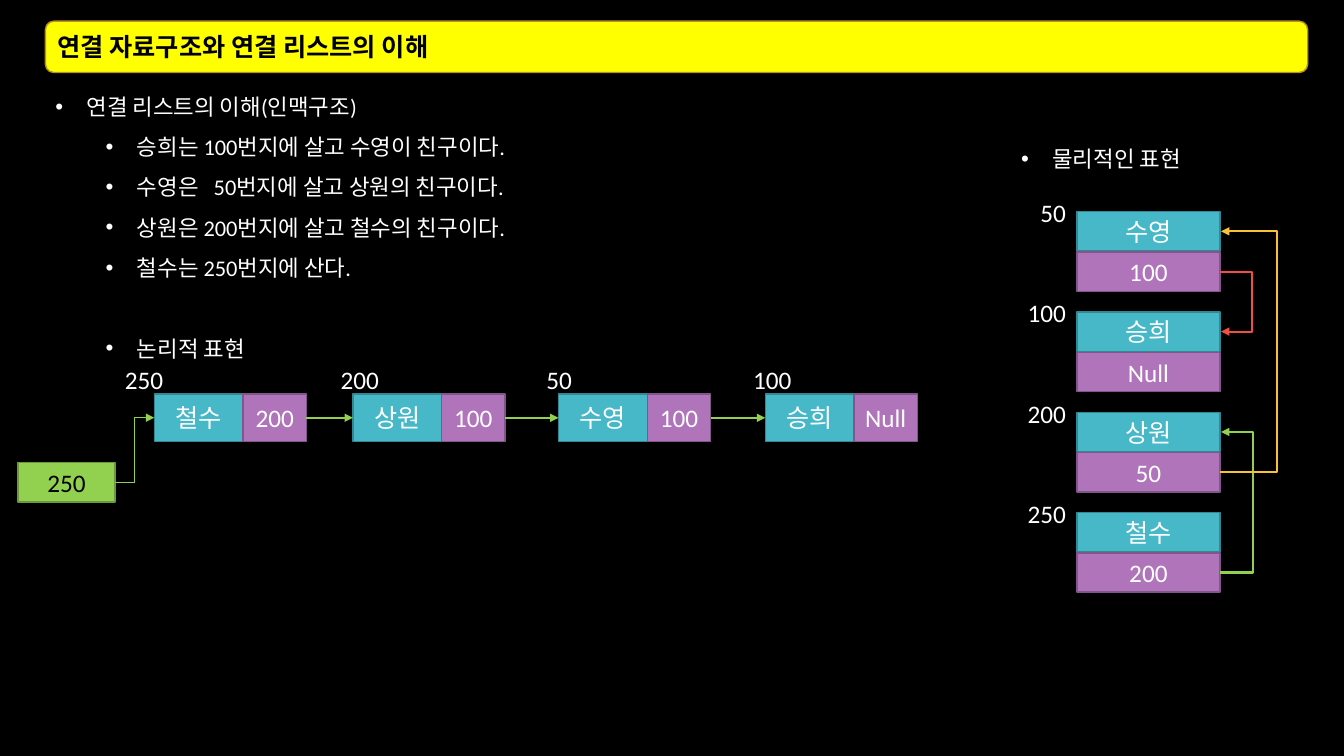
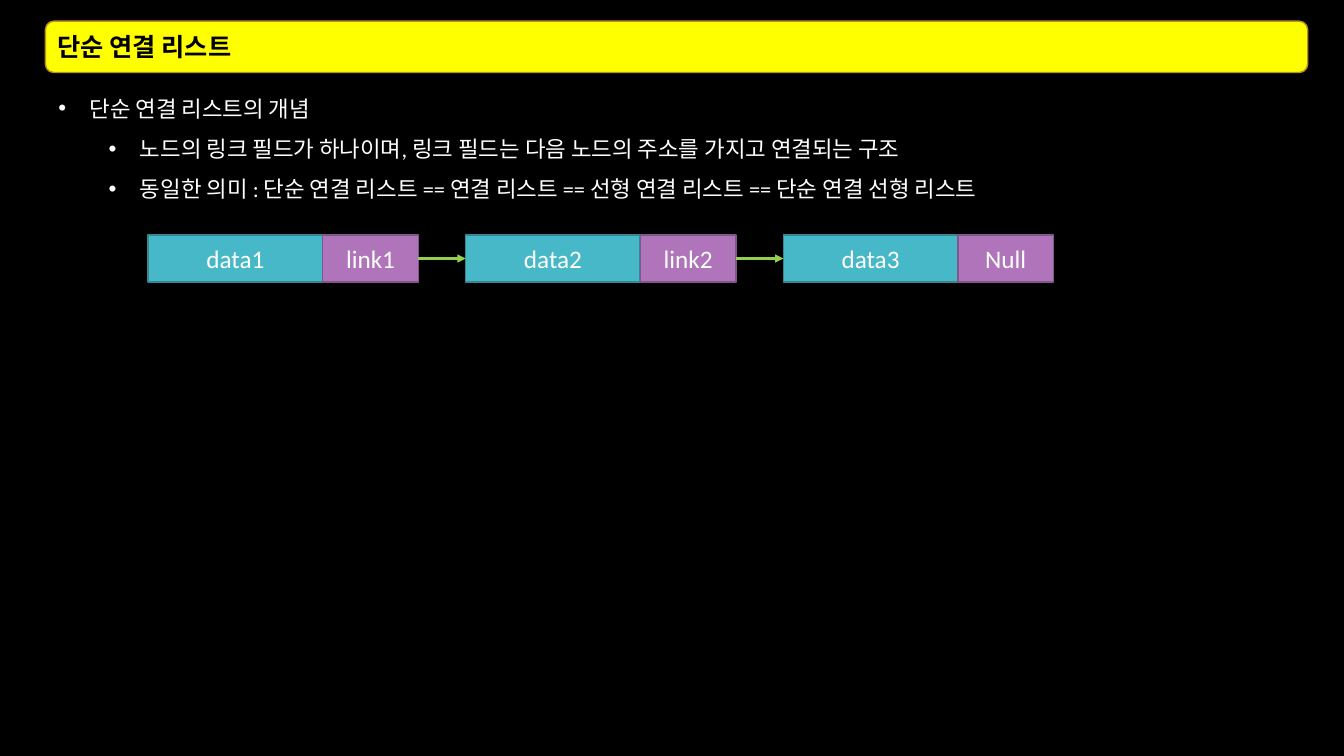
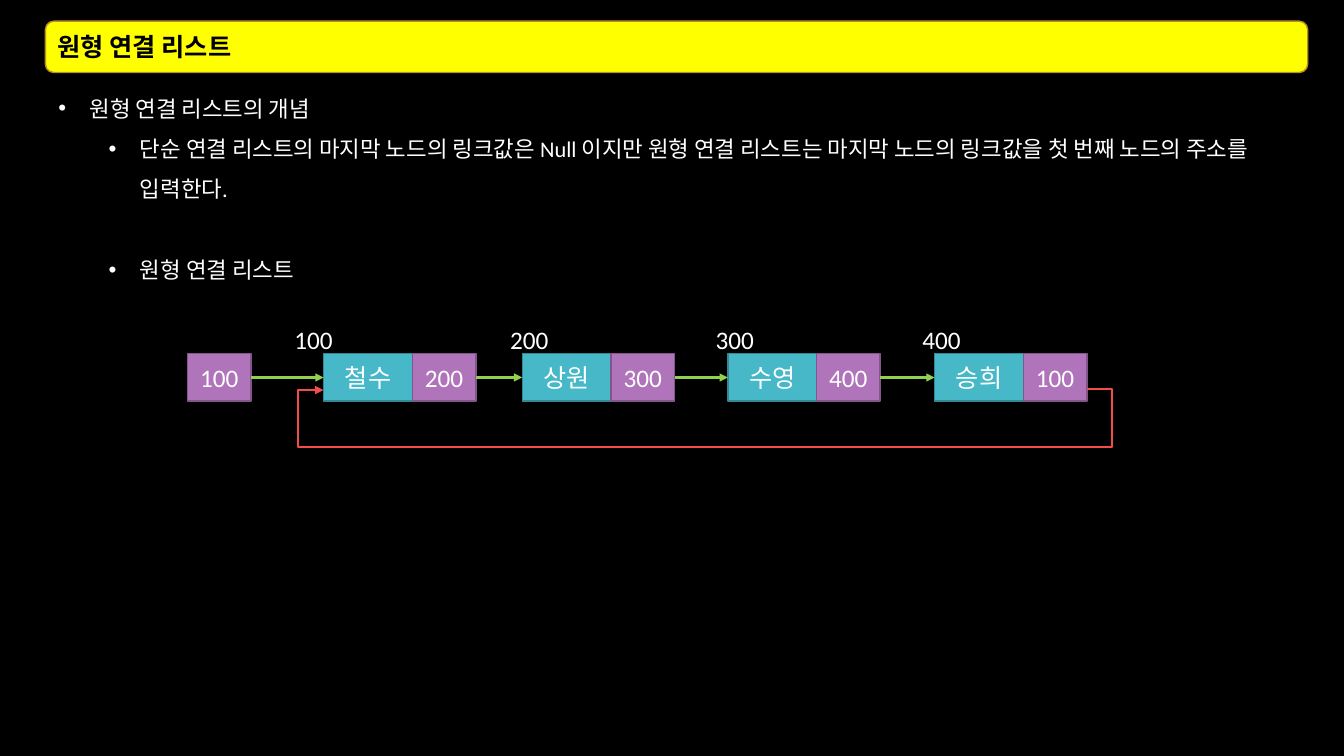
from pptx import Presentation
from pptx.dml.color import RGBColor
from pptx.enum.shapes import MSO_CONNECTOR, MSO_SHAPE
from pptx.enum.text import MSO_ANCHOR, MSO_AUTO_SIZE, PP_ALIGN
from pptx.oxml.ns import qn
from pptx.util import Inches, Pt
from lxml.etree import SubElement

# Shared look
BLACK, WHITE, YELLOW, GOLD = "000000", "FFFFFF", "FFFF00", "B79024"
GREEN, ORANGE, RED = "92D050", "F7C331", "F34D47"
DATA = ("47B8C7", "358893")
LINK = ("B074BA", "82568A")
HEAD = (GREEN, "6C9A3B")
BODY_FONT = {"name": "Calibri", "size": Pt(16), "bold": False}
NODE_FONT = {"name": "Calibri", "size": Pt(18), "bold": False}
TITLE_FONT = {"name": "Calibri", "size": Pt(18), "bold": True}
TOP, LEFT, BOTTOM, RIGHT = range(4)

# Horizontal chain: node offsets and cell sizes
NODE_OFFSETS = (0, 1.97, 4.01, 6.06)
DATA_WIDTH, LINK_WIDTH, NODE_HEIGHT = 0.88, 0.63, 0.47


def color(value):
    return RGBColor.from_string(value)


def apply(target, values):
    for name, value in values.items():
        setattr(target, name, value)


def write(para, text, font, text_color=WHITE):
    span = para.add_run()
    span.text = text
    apply(span.font, font)
    span.font.color.rgb = color(text_color)
    return span


def add_box(page, at, fill, line, shape=MSO_SHAPE.RECTANGLE):
    box = page.shapes.add_shape(shape, *map(Inches, at))
    box.shadow.inherit = False
    box.fill.solid()
    box.fill.fore_color.rgb = color(fill)
    box.line.color.rgb = color(line)
    box.line.width = Pt(1)
    return box


def add_title(page, text):
    at = (0.45, 0.21, 12.52, 0.51)
    band = add_box(page, at, YELLOW, GOLD, MSO_SHAPE.ROUNDED_RECTANGLE)
    title = page.shapes.title
    title.element.addprevious(band.element)
    apply(title, dict(zip(("left", "top", "width", "height"), map(Inches, at))))
    apply(title.text_frame, {
        "margin_left": Inches(0.12), "word_wrap": True,
        "auto_size": MSO_AUTO_SIZE.NONE, "vertical_anchor": MSO_ANCHOR.MIDDLE})
    para = title.text_frame.paragraphs[0]
    para.alignment = PP_ALIGN.LEFT
    write(para, text, TITLE_FONT, BLACK)


def add_bullets(page, at, items):
    """Each item is (level, space before in points, spans); a blank span is widened."""
    frame = add_box(page, at, BLACK, BLACK).text_frame
    apply(frame, {"word_wrap": True, "vertical_anchor": MSO_ANCHOR.TOP})
    for index, (level, space, spans) in enumerate(items):
        para = frame.add_paragraph() if index else frame.paragraphs[0]
        apply(para, {"level": level, "line_spacing": 1.5,
                     "space_before": Pt(space), "alignment": PP_ALIGN.LEFT})
        props = para._p.get_or_add_pPr()
        props.set("marL", str(Inches(0.31 + 0.5 * level)))
        props.set("indent", str(Inches(-0.31)))
        SubElement(props, qn("a:buFont")).set("typeface", "Arial")
        SubElement(props, qn("a:buChar")).set("char", "•")
        for text in spans:
            span = write(para, text, BODY_FONT)
            if text == " ":
                span.font._element.set("spc", "720")


def add_cell(page, text, at, colors, text_color=WHITE):
    box = add_box(page, at, *colors)
    apply(box.text_frame, {"word_wrap": False, "vertical_anchor": MSO_ANCHOR.MIDDLE})
    para = box.text_frame.paragraphs[0]
    para.alignment = PP_ALIGN.CENTER
    write(para, text, NODE_FONT, text_color)
    return box


def add_address(page, text, left, top, alignment=PP_ALIGN.LEFT):
    box = page.shapes.add_textbox(*map(Inches, (left, top, 0.79, 0.4)))
    apply(box.text_frame, {"word_wrap": True,
                           "auto_size": MSO_AUTO_SIZE.SHAPE_TO_FIT_TEXT})
    para = box.text_frame.paragraphs[0]
    para.alignment = alignment
    write(para, text, NODE_FONT)


def format_arrow(arrow, line, width):
    arrow.line.color.rgb = color(line)
    arrow.line.width = Pt(width)
    SubElement(arrow.line._get_or_add_ln(), qn("a:tailEnd")).set("type", "triangle")
    SubElement(arrow._element.spPr, qn("a:effectLst"))


def join(page, start, end, kind=MSO_CONNECTOR.STRAIGHT, sides=(RIGHT, LEFT),
         line=GREEN, width=1.5):
    arrow = page.shapes.add_connector(kind, 0, 0, 0, 0)
    arrow.begin_connect(start, sides[0])
    arrow.end_connect(end, sides[1])
    format_arrow(arrow, line, width)
    return arrow


def bend(arrow, *turns):
    """Route an elbow through turns: x, or x, y, x, in inches."""
    geometry = arrow._element.spPr.find(qn("a:prstGeom"))
    geometry.set("prst", f"bentConnector{len(turns) + 2}")
    guides = geometry.find(qn("a:avLst"))
    if guides is None:
        guides = SubElement(geometry, qn("a:avLst"))
    spans = ((arrow.begin_x, arrow.end_x), (arrow.begin_y, arrow.end_y))
    for index, turn in enumerate(turns):
        begin, end = spans[index % 2]
        ratio = (Inches(turn) - begin) / (end - begin)
        guide = SubElement(guides, qn("a:gd"))
        guide.set("name", f"adj{index + 1}")
        guide.set("fmla", f"val {round(ratio * 100000)}")


def add_chain(page, lefts, top, nodes, data_width=DATA_WIDTH, link_width=LINK_WIDTH):
    """Draw (data, link) nodes joined by arrows; return the first data cell."""
    first = previous = None
    for left, (data, link) in zip(lefts, nodes):
        data_cell = add_cell(page, data, (left, top, data_width, NODE_HEIGHT), DATA)
        link_cell = add_cell(
            page, link, (left + data_width, top, link_width, NODE_HEIGHT), LINK)
        if previous is not None:
            join(page, previous, data_cell)
        first = first or data_cell
        previous = link_cell
    return first


def add_addressed_chain(page, left, top, addresses, nodes):
    lefts = [left + offset for offset in NODE_OFFSETS]
    first = add_chain(page, lefts, top, nodes)
    for index, (node_left, address) in enumerate(zip(lefts, addresses)):
        shift = 0.22 if index else 0.39
        add_address(page, address, node_left - shift, top - 0.34)
    return first


def add_memory(page):
    """Vertical memory layout with elbow links between the cells."""
    left, width, height = 10.68, 1.42, 0.39
    cells = {}
    rows = (("50", "수영", "100"), ("100", "승희", "Null"),
            ("200", "상원", "50"), ("250", "철수", "200"))
    for index, (address, data, link) in enumerate(rows):
        top = 2.1 + 0.995 * index
        cells[address] = (
            add_cell(page, data, (left, top, width, height), DATA),
            add_cell(page, link, (left, top + 0.4, width, height), LINK))
        add_address(page, address, 9.88, top - 0.19, PP_ALIGN.RIGHT)
    for source, target, line, turn in (("250", "200", GREEN, 12.43),
                                       ("200", "50", ORANGE, 12.67),
                                       ("50", "100", RED, 12.42)):
        arrow = join(page, cells[source][1], cells[target][0],
                     MSO_CONNECTOR.ELBOW, (RIGHT, RIGHT), line)
        arrow.end_x = arrow.begin_x + Inches(0.01)
        bend(arrow, turn)


def build_overview(page):
    add_title(page, "연결 자료구조와 연결 리스트의 이해")
    add_bullets(page, (0.45, 0.74, 12.48, 6.46), (
        (0, 0, ["연결 리스트의 이해(인맥구조)"]),
        (1, 0, ["승희는 100번지에 살고 수영이 친구이다."]),
        (1, 0, ["수영은", " ", "50번지에 살고 상원의 친구이다."]),
        (1, 0, ["상원은 200번지에 살고 철수의 친구이다."]),
        (1, 0, ["철수는 250번지에 산다."]),
        (1, 28.8, ["논리적 표현"])))
    first = add_addressed_chain(
        page, 1.53, 3.91, ("250", "200", "50", "100"),
        (("철수", "200"), ("상원", "100"), ("수영", "100"), ("승희", "Null")))
    head = add_cell(page, "250", (0.18, 4.59, 0.96, 0.39), HEAD, BLACK)
    join(page, head, first, MSO_CONNECTOR.ELBOW, width=0.5)
    add_bullets(page, (10.03, 1.26, 2.04, 0.45), ((0, 0, ["물리적인 표현"]),))
    add_memory(page)


def build_singly_linked(page):
    add_title(page, "단순 연결 리스트")
    add_bullets(page, (0.48, 0.76, 12.48, 6.46), (
        (0, 0, ["단순 연결 리스트의 개념"]),
        (1, 0, ["노드의 링크 필드가 하나이며, 링크 필드는 다음 노드의 주소를 가지고 연결되는 구조"]),
        (1, 0, ["동일한 의미 : 단순 연결 리스트 == 연결 리스트 == 선형 연결 리스트 == 단순 연결 선형 리스트"])))
    lefts = [1.47 + 3.15 * index for index in range(3)]
    nodes = (("data1", "link1"), ("data2", "link2"), ("data3", "Null"))
    add_chain(page, lefts, 2.33, nodes, 1.73, 0.95)


def build_circular(page):
    add_title(page, "원형 연결 리스트")
    add_bullets(page, (0.48, 0.76, 12.48, 6.46), (
        (0, 0, ["원형 연결 리스트의 개념"]),
        (1, 0, ["단순 연결 리스트의 마지막 노드의 링크값은 Null 이지만 "
                "원형 연결 리스트는 마지막 노드의 링크값을 첫 번째 노드의 주소를 입력한다."]),
        (1, 28.8, ["원형 연결 리스트"])))
    first = add_addressed_chain(
        page, 3.21, 3.51, ("100", "200", "300", "400"),
        (("철수", "200"), ("상원", "300"), ("수영", "400"), ("승희", "100")))
    head = add_cell(page, "100", (1.86, 3.51, LINK_WIDTH, NODE_HEIGHT), LINK)
    join(page, head, first)
    # Return link from the last node to the first
    loop = page.shapes.add_connector(
        MSO_CONNECTOR.ELBOW, *map(Inches, (10.78, 3.86, 3.21, 3.87)))
    format_arrow(loop, RED, 1.5)
    bend(loop, 11.03, 4.44, 2.96)


def main():
    deck = Presentation()
    deck.slide_width, deck.slide_height = Inches(13.33), Inches(7.5)
    background = deck.slide_master.background.fill
    background.solid()
    background.fore_color.rgb = color(BLACK)
    for build in (build_overview, build_singly_linked, build_circular):
        build(deck.slides.add_slide(deck.slide_layouts[5]))
    deck.save("out.pptx")


if __name__ == "__main__":
    main()
